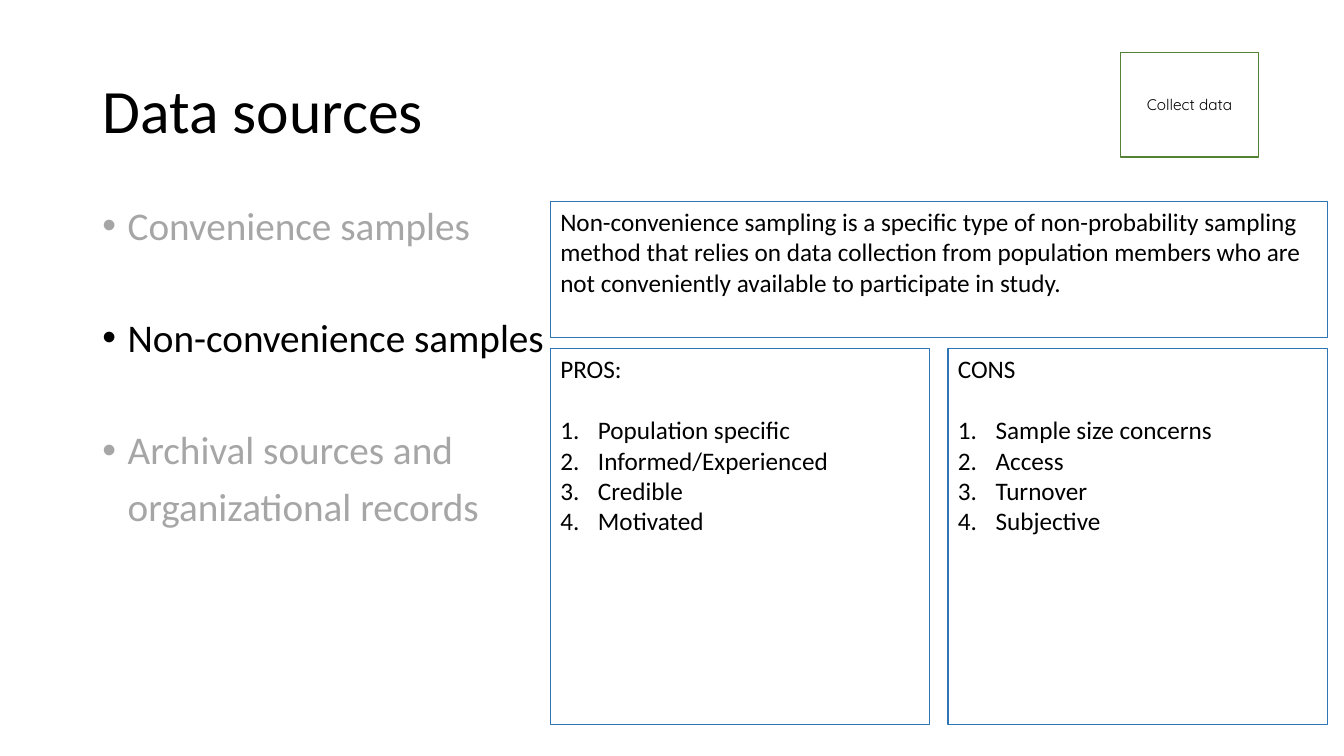
from dataclasses import dataclass
from typing import Optional

from lxml.etree import SubElement
from pptx import Presentation
from pptx.dml.color import RGBColor
from pptx.enum.shapes import MSO_SHAPE
from pptx.enum.text import MSO_ANCHOR, MSO_AUTO_SIZE, PP_ALIGN
from pptx.oxml.ns import qn
from pptx.util import Cm, Pt

BLACK = RGBColor(0x00, 0x00, 0x00)
GREY = RGBColor(0xA6, 0xA6, 0xA6)
BLUE = RGBColor(0x2E, 0x75, 0xB6)
GREEN = RGBColor(0x54, 0x82, 0x35)

MARGIN, CONTENT_WIDTH = 2.33, 29.21
PANEL_LEFT, PANEL_WIDTH, PANEL_GAP = 13.87, 19.58, 0.46
COLUMN_WIDTH = (PANEL_WIDTH - PANEL_GAP) / 2


@dataclass(frozen=True)
class Source:
    text: str
    color: RGBColor
    bullet: Optional[str] = "•"
    space_before: float = 50


@dataclass(frozen=True)
class Column:
    heading: str
    points: tuple[str, ...]


SOURCES = (
    Source("Convenience samples", GREY, space_before=0),
    Source("Non-convenience samples", BLACK),
    Source("Archival sources and", GREY),
    Source("organizational records", GREY, bullet=None, space_before=10),
)
COLUMNS = (
    Column("PROS:", ("Population specific", "Informed/Experienced", "Credible", "Motivated")),
    Column("CONS", ("Sample size concerns", "Access", "Turnover", "Subjective")),
)
DEFINITION = (
    "Non-convenience sampling is a specific type of non-probability "
    "sampling method that relies on data collection from population members "
    "who are not conveniently available to participate in study."
)


def write(frame, text: str, *, size: float = 18, font: str = "Calibri",
          color: RGBColor = BLACK, align=PP_ALIGN.LEFT, bullet: Optional[str] = None,
          numbered: bool = False, left: float = 0, hanging: float = 0,
          before: float = 0, spacing: float = 1.0) -> None:
    """Fill the frame's empty first paragraph, or add one after its text."""
    paragraph = frame.add_paragraph() if frame.text else frame.paragraphs[0]
    properties = paragraph._p.get_or_add_pPr()
    properties.set("marL", str(Cm(left)))
    properties.set("indent", str(-Cm(hanging)))
    if bullet:
        SubElement(properties, qn("a:buFont"), typeface="Arial")
        SubElement(properties, qn("a:buChar"), char=bullet)
    elif numbered:
        SubElement(properties, qn("a:buFont"), typeface="+mj-lt")
        SubElement(properties, qn("a:buAutoNum"), type="arabicPeriod")
    else:
        SubElement(properties, qn("a:buNone"))
    paragraph.alignment = align
    paragraph.line_spacing = spacing
    paragraph.space_before = Pt(before)
    run = paragraph.add_run()
    run.text = text
    run.font.size = Pt(size)
    run.font.name = font
    run.font.color.rgb = color


def add_panel(slide, left: float, top: float, width: float, height: float,
              outline: RGBColor = BLUE, anchor=MSO_ANCHOR.TOP):
    """Draw an outlined box and return its text frame."""
    panel = slide.shapes.add_shape(
        MSO_SHAPE.RECTANGLE, Cm(left), Cm(top), Cm(width), Cm(height))
    panel.shadow.inherit = False
    panel.fill.background()
    panel.line.color.rgb = outline
    panel.line.width = Pt(1)
    panel.text_frame.word_wrap = True
    panel.text_frame.vertical_anchor = anchor
    return panel.text_frame


def add_title(slide) -> None:
    title = slide.shapes.title
    title.left, title.top = Cm(MARGIN), Cm(1.01)
    title.width, title.height = Cm(CONTENT_WIDTH), Cm(3.68)
    title.text_frame.auto_size = MSO_AUTO_SIZE.NONE
    title.text_frame.vertical_anchor = MSO_ANCHOR.MIDDLE
    write(title.text_frame, "Data sources", size=44, spacing=0.9)


def add_sources(slide) -> None:
    sources = slide.shapes.add_textbox(
        Cm(MARGIN), Cm(5.07), Cm(CONTENT_WIDTH), Cm(12.09)).text_frame
    sources.word_wrap = True
    for source in SOURCES:
        write(sources, source.text, size=28, color=source.color, bullet=source.bullet,
              left=0.64, hanging=0.64 if source.bullet else 0,
              before=source.space_before, spacing=0.9)


def add_column(slide, column: Column, left: float) -> None:
    frame = add_panel(slide, left, 8.79, COLUMN_WIDTH, 9.47)
    write(frame, column.heading)
    for index, point in enumerate(column.points):
        write(frame, point, numbered=True, left=0.95, hanging=0.95,
              before=0 if index else 22)


def main() -> None:
    presentation = Presentation()
    presentation.slide_width, presentation.slide_height = Cm(33.87), Cm(19.05)
    slide = presentation.slides.add_slide(presentation.slide_layouts[5])
    add_title(slide)
    add_sources(slide)
    stage = add_panel(slide, 28.24, 1.32, 3.48, 2.64, GREEN, MSO_ANCHOR.MIDDLE)
    write(stage, "Collect data", size=11, font="Quicksand", align=PP_ALIGN.CENTER)
    write(add_panel(slide, PANEL_LEFT, 5.08, PANEL_WIDTH, 3.43), DEFINITION)
    for index, column in enumerate(COLUMNS):
        add_column(slide, column, PANEL_LEFT + index * (COLUMN_WIDTH + PANEL_GAP))
    presentation.save("out.pptx")


if __name__ == "__main__":
    main()
